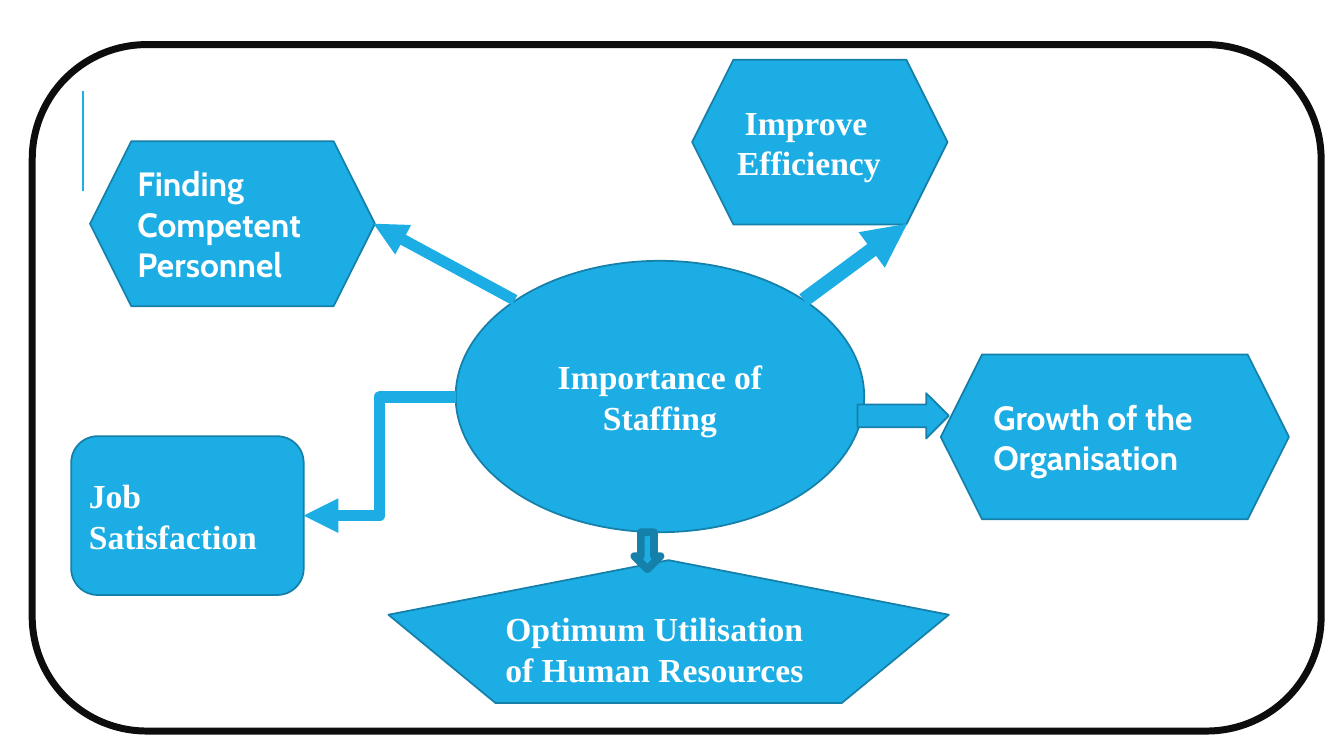
from lxml import etree
from pptx import Presentation
from pptx.dml.color import RGBColor
from pptx.enum.shapes import MSO_CONNECTOR, MSO_SHAPE
from pptx.enum.text import MSO_ANCHOR, PP_ALIGN
from pptx.oxml.ns import qn
from pptx.util import Inches, Pt

ELLIPSE, HEXAGON = MSO_SHAPE.OVAL, MSO_SHAPE.HEXAGON
PENTAGON = MSO_SHAPE.REGULAR_PENTAGON
ROUNDED = MSO_SHAPE.FLOWCHART_ALTERNATE_PROCESS
RIGHT_ARROW, DOWN_ARROW = MSO_SHAPE.RIGHT_ARROW, MSO_SHAPE.DOWN_ARROW
STRAIGHT, ELBOW = MSO_CONNECTOR.STRAIGHT, MSO_CONNECTOR.ELBOW
LEFT, CENTER, MIDDLE = PP_ALIGN.LEFT, PP_ALIGN.CENTER, MSO_ANCHOR.MIDDLE

COLORS = {"blue": "1CADE4", "edge": "1580A9", "frame": "0D0D0D", "text": "FFFFFF"}
SERIF, SANS = "Times New Roman", "Cabin"
WIDTH, HEIGHT = Inches(13.33), Inches(7.5)

# Places are left, top, width, height in percent of the slide
ACCENT_RULE = ((6.2, 25.3), (6.2, 12), 1.5)
FRAME = (2.4, 5.9, 95.9, 90.8)
# name: preset, place, alignment, runs of (text, font)
TOPICS = {
    "importance": (ELLIPSE, (33.9, 34.5, 30.4, 35.9), CENTER,
                   [("Importance of Staffing", SERIF)]),
    "personnel": (HEXAGON, (6.7, 18.7, 21.2, 21.8), LEFT,
                  [("Finding Competent Personnel", SANS)]),
    "efficiency": (HEXAGON, (51.5, 7.9, 19, 21.8), LEFT,
                   [(" ", SANS), ("Improve Efficiency", SERIF)]),
    "growth": (HEXAGON, (70, 46.9, 25.9, 21.8), LEFT,
               [("Growth of the Organisation", SANS)]),
    "utilisation": (PENTAGON, (28.9, 74.1, 41.7, 18.9), LEFT,
                    [("Optimum Utilisation of Human Resources", SERIF)]),
    "satisfaction": (ROUNDED, (5.3, 57.7, 17.3, 21), LEFT,
                     [("Job Satisfaction", SERIF)]),
}
# start, end, line width
ARROWS = [((59.8, 39.7), (67.5, 29.6), 10.5), ((38.3, 39.7), (27.8, 29.6), 8)]
ELBOW_ARROW = ((33.9, 52.5), (22.6, 68.2), 8.25)
RIGHT_BLOCK, DOWN_BLOCK = (63.8, 52, 6.8, 6), (47.2, 70.4, 1.95, 4.9)


def across(share):
    return int(WIDTH * share / 100)


def down(share):
    return int(HEIGHT * share / 100)


def color(name):
    return RGBColor.from_string(COLORS[name])


def add_block(page, preset, place, fill="blue", edge="edge", weight=1.25):
    left, top, width, height = place
    block = page.shapes.add_shape(preset, across(left), down(top), across(width), down(height))
    block.shadow.inherit = False
    if fill:
        block.fill.solid()
        block.fill.fore_color.rgb = color(fill)
    else:
        block.fill.background()
    block.line.color.rgb = color(edge)
    block.line.width = Pt(weight)
    return block


def write(block, runs, align=LEFT, size=24, ink="text", bold=True):
    frame = block.text_frame
    frame.word_wrap = True
    frame.vertical_anchor = MIDDLE
    para = frame.paragraphs[0]
    para.alignment = align
    for text, font in runs:
        span = para.add_run()
        span.text = text
        span.font.name = font
        span.font.size = Pt(size)
        span.font.bold = bold
        span.font.color.rgb = color(ink)


def round_joins(shape):
    etree.SubElement(shape.line._get_or_add_ln(), qn("a:round"))


def add_line(page, start, end, weight, kind=STRAIGHT, arrow=True):
    line = page.shapes.add_connector(kind, across(start[0]), down(start[1]),
                                     across(end[0]), down(end[1]))
    line.line.color.rgb = color("blue")
    line.line.width = Pt(weight)
    round_joins(line)
    if arrow:
        etree.SubElement(line.line._get_or_add_ln(), qn("a:tailEnd"), type="triangle")
    etree.SubElement(line._element.spPr, qn("a:effectLst"))
    return line


def main():
    deck = Presentation()
    deck.slide_width, deck.slide_height = WIDTH, HEIGHT
    page = deck.slides.add_slide(deck.slide_layouts[6])

    # Accent rule, topics and frame
    add_line(page, *ACCENT_RULE, arrow=False)
    blocks = {}
    for name, (preset, place, align, runs) in TOPICS.items():
        blocks[name] = add_block(page, preset, place)
        write(blocks[name], runs, align=align)
    add_block(page, ROUNDED, FRAME, fill=None, edge="frame", weight=5)

    # Arrows from the centre to the topics
    add_block(page, RIGHT_ARROW, RIGHT_BLOCK)
    for start, end, weight in ARROWS:
        add_line(page, start, end, weight)
    elbow = add_line(page, *ELBOW_ARROW, kind=ELBOW)
    elbow.end_connect(blocks["satisfaction"], 3)
    round_joins(add_block(page, DOWN_ARROW, DOWN_BLOCK, weight=5.5))

    deck.save("out.pptx")


if __name__ == "__main__":
    main()
